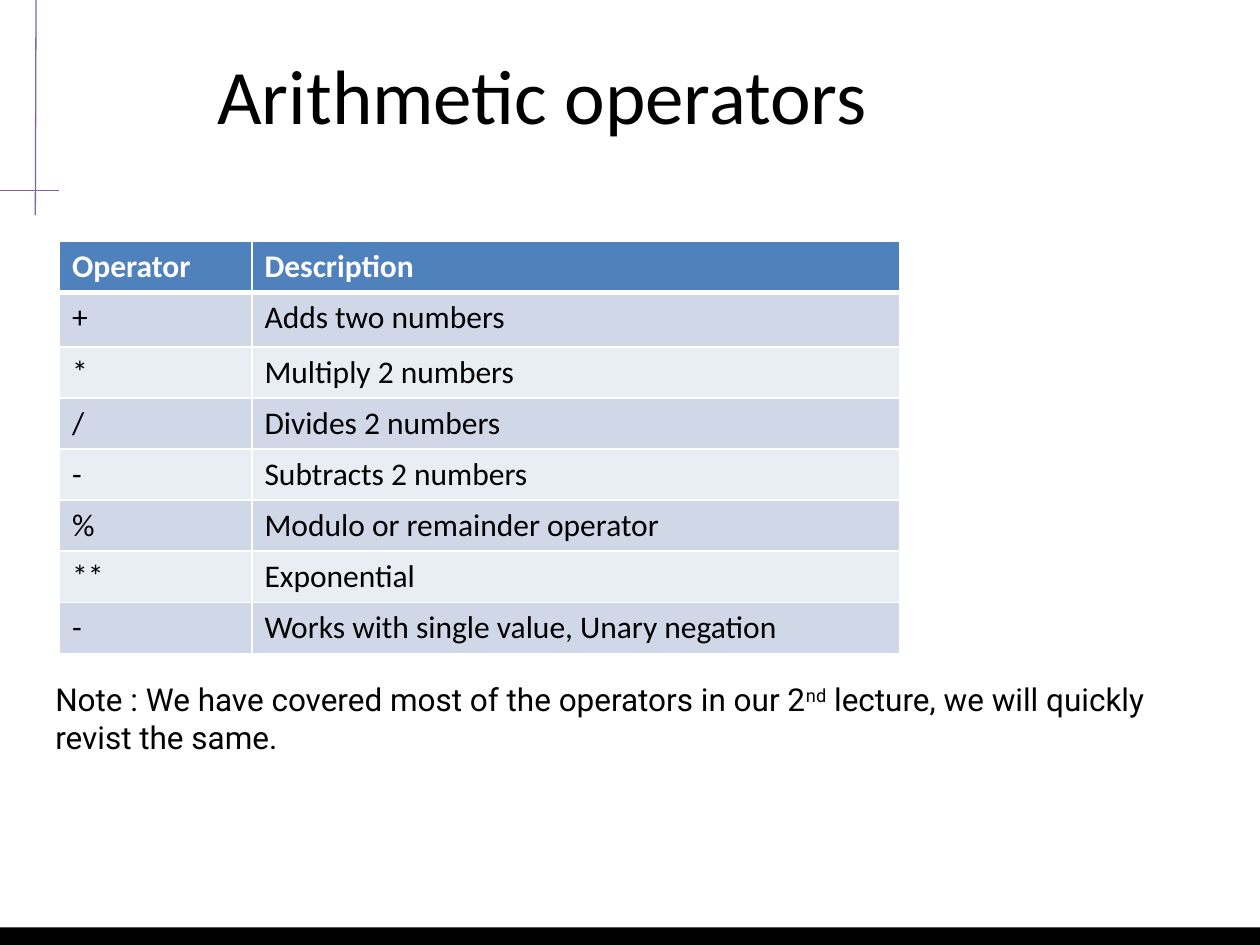
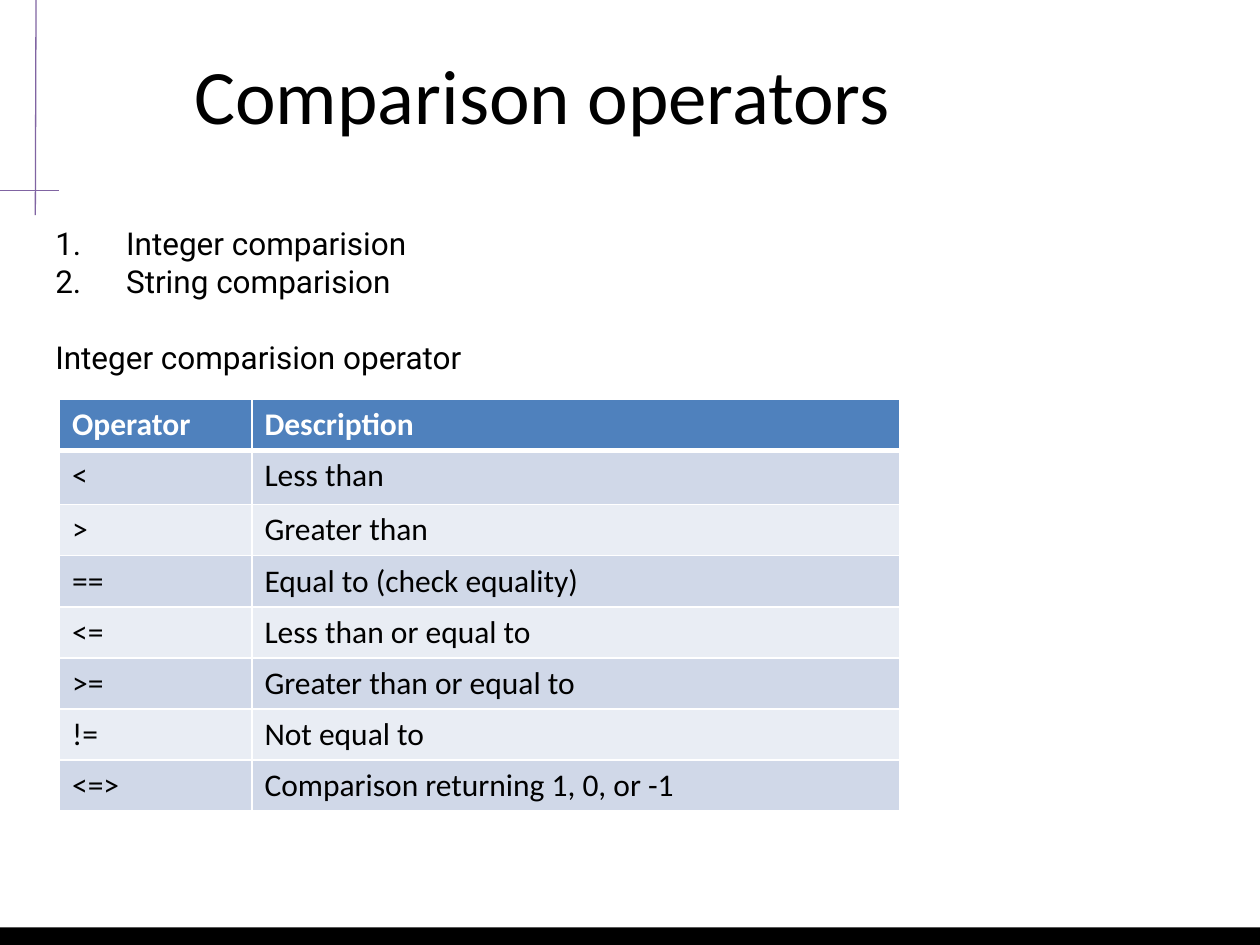
from lxml.etree import SubElement
from pptx import Presentation
from pptx.dml.color import RGBColor
from pptx.enum.shapes import MSO_CONNECTOR, MSO_SHAPE
from pptx.enum.text import MSO_ANCHOR, PP_ALIGN
from pptx.oxml.ns import qn
from pptx.util import Pt

BLACK = RGBColor(0x00, 0x00, 0x00)
WHITE = RGBColor(0xFF, 0xFF, 0xFF)
PURPLE = RGBColor(0x80, 0x64, 0xA2)
HEADER_BLUE = RGBColor(0x4F, 0x81, 0xBD)
BAND_DARK = RGBColor(0xD0, 0xD8, 0xE8)
BAND_LIGHT = RGBColor(0xE9, 0xED, 0xF4)

HEADING_FONT = "Calibri"
BODY_FONT = "Roboto"
BODY_SIZE = 18
BODY_LINE = 21.7
BODY_LEFT, BODY_WIDTH = 24.5, 671
TABLE_LEFT = 34
COLUMN_WIDTHS = (110, 370)
ROW_HEIGHT, FIRST_ROW_HEIGHT = 29.2, 31

HEADER = ("Operator", "Description")
ARITHMETIC = [
    ("+", "Adds two numbers"),
    ("*", "Multiply 2 numbers"),
    ("/", "Divides 2 numbers"),
    ("-", "Subtracts 2 numbers"),
    ("%", "Modulo or remainder operator"),
    ("**", "Exponential"),
    ("-", "Works with single value, Unary negation"),
]
COMPARISON = [
    ("<", "Less than"),
    (">", "Greater than"),
    ("==", "Equal to (check equality)"),
    ("<=", "Less than or equal to"),
    (">=", "Greater than or equal to"),
    ("!=", "Not equal to"),
    ("<=>", "Comparison returning 1, 0, or -1"),
]


def style_font(font, name, size, color=BLACK, bold=False):
    font.name = name
    font.size = Pt(size)
    font.color.rgb = color
    font.bold = bold


def add_text_box(slide, left, top, width, height):
    shape = slide.shapes.add_textbox(Pt(left), Pt(top), Pt(width), Pt(height))
    text_frame = shape.text_frame
    text_frame.word_wrap = True
    text_frame.vertical_anchor = MSO_ANCHOR.TOP
    text_frame.margin_left = text_frame.margin_right = Pt(7.2)
    text_frame.margin_top = text_frame.margin_bottom = Pt(7.2)
    return text_frame


def add_line(slide, start, end):
    line = slide.shapes.add_connector(
        MSO_CONNECTOR.STRAIGHT, *(Pt(value) for value in start + end))
    line.line.color.rgb = PURPLE
    line.line.width = Pt(0.75)
    SubElement(line._element.spPr, qn("a:effectLst"))


def add_titled_slide(presentation, title):
    slide = presentation.slides.add_slide(presentation.slide_layouts[6])
    band = slide.shapes.add_shape(
        MSO_SHAPE.RECTANGLE, 0, Pt(530), Pt(720), Pt(10))
    band.shadow.inherit = False
    band.fill.solid()
    band.fill.fore_color.rgb = BLACK
    band.line.fill.background()

    text_frame = add_text_box(slide, 20, 20, 580, 64)
    text_frame.text = title
    paragraph = text_frame.paragraphs[0]
    paragraph.alignment = PP_ALIGN.CENTER
    style_font(paragraph.runs[0].font, HEADING_FONT, 44)

    add_line(slide, (20.6, 0), (20.2, 123))
    add_line(slide, (0, 108.7), (34, 108.7))
    return slide


def set_borders(cell, top, bottom):
    properties = cell._tc.get_or_add_tcPr()
    for side, width in (("L", 1), ("R", 1), ("T", top), ("B", bottom)):
        border = SubElement(properties, qn(f"a:ln{side}"), w=str(Pt(width)))
        fill = SubElement(border, qn("a:solidFill"))
        SubElement(fill, qn("a:srgbClr"), val=str(WHITE))


def add_operator_table(slide, top, operators):
    rows = [HEADER] + operators
    heights = [ROW_HEIGHT, FIRST_ROW_HEIGHT] + [ROW_HEIGHT] * (len(rows) - 2)
    table = slide.shapes.add_table(
        len(rows), len(HEADER), Pt(TABLE_LEFT), Pt(top),
        Pt(sum(COLUMN_WIDTHS)), Pt(sum(heights))).table
    for column, width in zip(table.columns, COLUMN_WIDTHS):
        column.width = Pt(width)
    for index, (texts, height) in enumerate(zip(rows, heights)):
        table.rows[index].height = Pt(height)
        is_header = index == 0
        band = BAND_DARK if index % 2 else BAND_LIGHT
        for cell, text in zip(table.rows[index].cells, texts):
            set_borders(cell, 3 if index == 1 else 1, 3 if is_header else 1)
            cell.fill.solid()
            cell.fill.fore_color.rgb = HEADER_BLUE if is_header else band
            cell.text_frame.text = text
            style_font(cell.text_frame.paragraphs[0].runs[0].font,
                       HEADING_FONT, BODY_SIZE,
                       WHITE if is_header else BLACK, is_header)


def add_note(slide, top, parts):
    paragraph = add_text_box(
        slide, BODY_LEFT, top, BODY_WIDTH, 98).paragraphs[0]
    for text, raised in parts:
        run = paragraph.add_run()
        run.text = text
        style_font(run.font, BODY_FONT, BODY_SIZE)
        if raised:
            run._r.get_or_add_rPr().set("baseline", "30000")


def number_paragraph(paragraph):
    properties = paragraph._p.get_or_add_pPr()
    properties.set("marL", str(Pt(40.5)))
    properties.set("indent", str(Pt(-40.5)))
    SubElement(properties, qn("a:buFont"), typeface="+mj-lt")
    SubElement(properties, qn("a:buAutoNum"), type="arabicPeriod")


def add_numbered_intro(slide, top, items, closing):
    text_frame = add_text_box(slide, BODY_LEFT, top, BODY_WIDTH, 358.5)
    text_frame.text = "\n".join(items + [closing])
    for paragraph in text_frame.paragraphs[:-1]:
        number_paragraph(paragraph)
    text_frame.paragraphs[-1].space_before = Pt(BODY_LINE)
    for paragraph in text_frame.paragraphs:
        style_font(paragraph.runs[0].font, BODY_FONT, BODY_SIZE)


def main():
    presentation = Presentation()
    presentation.slide_width = Pt(720)
    presentation.slide_height = Pt(540)

    slide = add_titled_slide(presentation, "Arithmetic operators")
    add_note(slide, 381.4, [
        ("Note : We have covered most of the operators in our 2", False),
        ("nd", True),
        (" lecture, we will quickly revist the same.", False),
    ])
    add_operator_table(slide, 138, ARITHMETIC)

    slide = add_titled_slide(presentation, "Comparison operators")
    add_numbered_intro(
        slide, 121, ["Integer comparision", "String comparision"],
        "Integer comparision operator")
    add_operator_table(slide, 228.2, COMPARISON)

    presentation.save("out.pptx")


if __name__ == "__main__":
    main()
